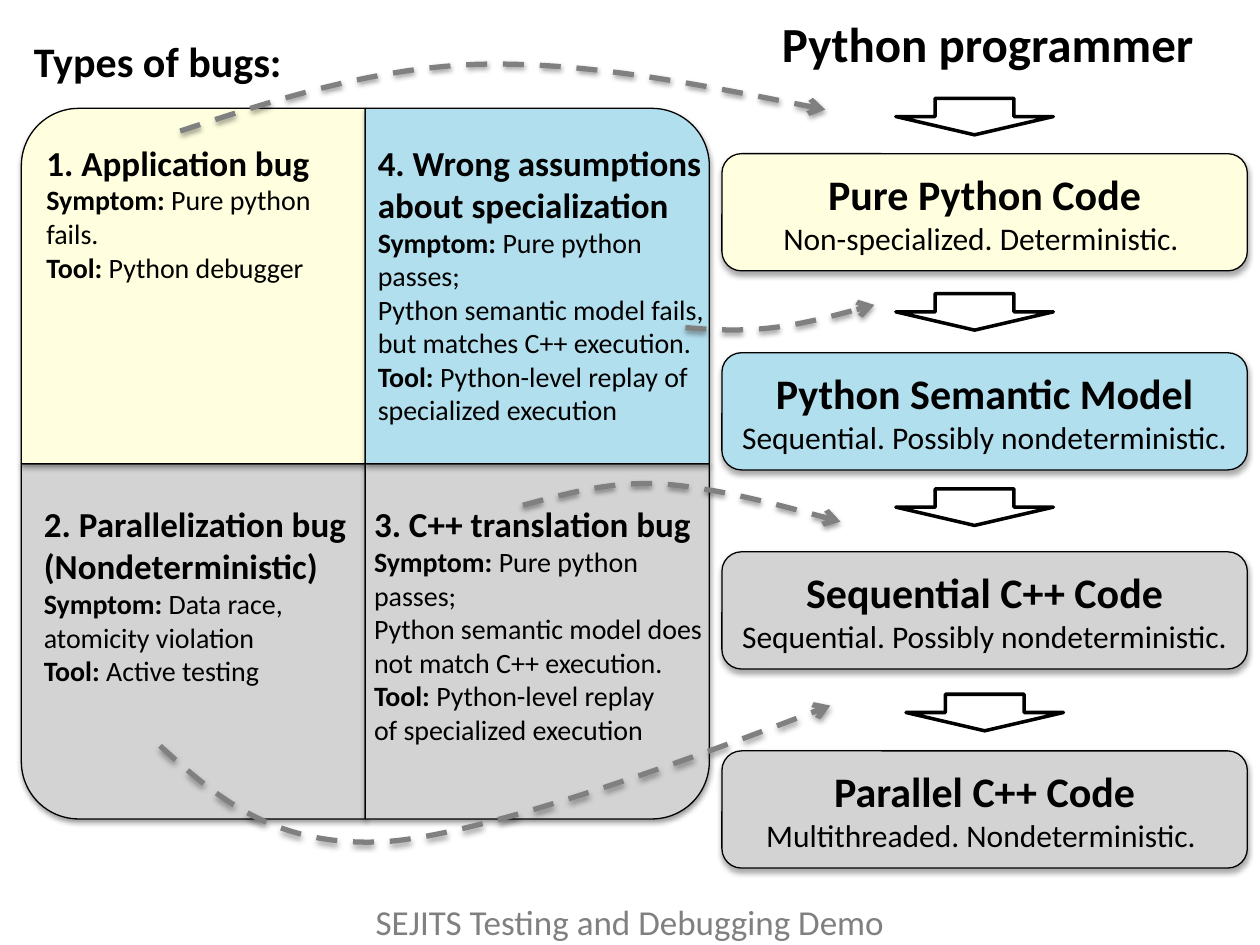
from dataclasses import dataclass
from typing import Any

from lxml.etree import SubElement
from pptx import Presentation
from pptx.dml.color import RGBColor
from pptx.enum.dml import MSO_LINE
from pptx.enum.shapes import MSO_SHAPE as Preset
from pptx.enum.text import MSO_ANCHOR as Anchor, MSO_AUTO_SIZE as AutoSize, PP_ALIGN as Align
from pptx.oxml.ns import qn
from pptx.util import Emu, Inches, Pt

COLUMNS, ROWS, CELL = 100, 75, Inches(0.1)
BLACK = RGBColor(0x00, 0x00, 0x00)
WHITE = RGBColor(0xFF, 0xFF, 0xFF)
GRAY = RGBColor(0x80, 0x80, 0x80)
YELLOW = RGBColor(0xFF, 0xFF, 0xE0)
BLUE = RGBColor(0xB2, 0xDF, 0xEE)
SILVER = RGBColor(0xD3, 0xD3, 0xD3)


@dataclass(frozen=True)
class Area:
    left: float
    top: float
    width: float
    height: float

    def lengths(self) -> list[Emu]:
        return [cells(n) for n in (self.left, self.top, self.width, self.height)]


@dataclass(frozen=True)
class Span:
    text: str
    size: int = 16
    bold: bool = False
    color: RGBColor = BLACK


@dataclass(frozen=True)
class Caption:
    area: Area
    paras: list[list[Span]]
    wrap: bool = True
    align: Align = Align.LEFT


@dataclass(frozen=True)
class Stage:
    name: str
    detail: str
    fill: RGBColor


@dataclass(frozen=True)
class Quadrant:
    column: int
    row: int
    fill: RGBColor


def cells(count: float) -> Emu:
    return Emu(round(count * CELL))


def heading(text: str) -> Span:
    return Span(text, 20, True)


def label(text: str) -> Span:
    return Span(text, bold=True)


def apply(target: Any, values: dict[str, Any]) -> None:
    for name, value in values.items():
        setattr(target, name, value)


def write(box: Any, paras: list[list[Span]], align: Align) -> None:
    frame = box.text_frame
    for number, spans in enumerate(paras):
        para = frame.add_paragraph() if number else frame.paragraphs[0]
        para.alignment = align
        for span in spans:
            for index, line in enumerate(span.text.split("\n")):
                if index:
                    para.add_line_break()
                run = para.add_run()
                run.text = line
                apply(run.font, {"name": "Calibri", "size": Pt(span.size), "bold": span.bold})
                run.font.color.rgb = span.color


def cast_shadow(shape: Any, opacity: int, distance: float) -> None:
    effects = shape._element.spPr.find(qn("a:effectLst"))
    shadow = SubElement(effects, qn("a:outerShdw"), blurRad=str(Pt(3.1)), dist=str(Pt(distance)),
                        dir="5400000", algn="t", rotWithShape="0")
    tint = SubElement(shadow, qn("a:srgbClr"), val=str(BLACK))
    SubElement(tint, qn("a:alpha"), val=str(opacity * 1000))


def draw_shape(page: Any, preset: Preset, area: Area, fill: RGBColor, weight: float) -> Any:
    shape = page.shapes.add_shape(preset, *area.lengths())
    shape.shadow.inherit = False
    shape.fill.solid()
    shape.fill.fore_color.rgb = fill
    shape.line.color.rgb = BLACK
    shape.line.width = Pt(weight)
    return shape


def draw_stage(page: Any, stage: Stage, area: Area) -> None:
    box = draw_shape(page, Preset.ROUNDED_RECTANGLE, area, stage.fill, 0.75)
    cast_shadow(box, 35, 1.8)
    apply(box.text_frame, {"word_wrap": True, "vertical_anchor": Anchor.MIDDLE})
    write(box, [[Span(stage.name, 24, True)], [Span(stage.detail, 18)]], Align.CENTER)


def draw_quadrant(page: Any, quadrant: Quadrant) -> None:
    width, height = 27.3, 28.2
    area = Area(1.7 + quadrant.column * width, 8.6 + quadrant.row * height, width, height)
    box = draw_shape(page, Preset.ROUND_1_RECTANGLE, area, quadrant.fill, 0.75)
    frame = box._element.spPr.find(qn("a:xfrm"))
    frame.set("flipH", str(1 - quadrant.column))
    frame.set("flipV", str(quadrant.row))
    cast_shadow(box, 38, 1.6)


def draw_caption(page: Any, caption: Caption) -> None:
    box = page.shapes.add_textbox(*caption.area.lengths())
    apply(box.text_frame, {"word_wrap": caption.wrap, "auto_size": AutoSize.SHAPE_TO_FIT_TEXT})
    write(box, caption.paras, caption.align)


def draw_curve(page: Any, points: list[tuple[float, float]]) -> None:
    start, *rest = [(cells(x), cells(y)) for x, y in points]
    builder = page.shapes.build_freeform(*start)
    builder.add_line_segments(rest, close=False)
    curve = builder.convert_to_shape()
    curve.shadow.inherit = False
    curve.fill.background()
    curve.line.color.rgb = GRAY
    apply(curve.line, {"width": Pt(3), "dash_style": MSO_LINE.DASH})
    properties = curve._element.spPr
    SubElement(properties.find(qn("a:ln")), qn("a:tailEnd"), type="arrow")
    track = next(properties.iter(qn("a:path")))
    segments = track.findall(qn("a:lnTo"))
    for first in range(0, len(segments), 3):
        bezier = SubElement(track, qn("a:cubicBezTo"))
        for segment in segments[first:first + 3]:
            bezier.append(segment[0])
            track.remove(segment)
    cast_shadow(curve, 38, 1.6)


ARROWS = [(71.1, 7.8), (71.1, 23.3), (71.1, 38.8), (71.9, 55.1)]
STAGES = [
    Stage("Pure Python Code", "Non-specialized. Deterministic. ", YELLOW),
    Stage("Python Semantic Model", "Sequential. Possibly nondeterministic.", BLUE),
    Stage("Sequential C++ Code", "Sequential. Possibly nondeterministic.", SILVER),
    Stage("Parallel C++ Code", "Multithreaded. Nondeterministic. ", SILVER),
]
QUADRANTS = [Quadrant(0, 1, SILVER), Quadrant(0, 0, YELLOW),
             Quadrant(1, 1, SILVER), Quadrant(1, 0, BLUE)]
CAPTIONS = [
    Caption(Area(0, 71, COLUMNS, 4.4),
            [[Span("SEJITS Testing and Debugging Demo", 20, color=GRAY)]], align=Align.CENTER),
    Caption(Area(60.2, 0.6, 36, 5.9), [[Span(" Python programmer", 28, True)]], wrap=False),
    Caption(Area(1.7, 2.3, 22, 5), [[Span("Types of bugs:", 24, True)]], wrap=False),
    Caption(Area(2.7, 10.7, 25.8, 16), [
        [heading("1. Application bug")],
        [label("Symptom:"), Span(" Pure python fails.")],
        [label("Tool:"), Span(" Python debugger")]]),
    Caption(Area(2.5, 39.4, 27.3, 17.8), [
        [heading("2. Parallelization bug")],
        [heading("(Nondeterministic) "), label("Symptom:"), Span(" Data race,")],
        [Span("atomicity violation")],
        [label("Tool:"), Span(" Active testing")]]),
    Caption(Area(28.7, 39.4, 30.8, 20.5), [
        [heading("3. C++ translation bug")],
        [label("Symptom:"), Span(" Pure python \npasses; \n"
                                 "Python semantic model does not match C++ execution.")],
        [label("Tool: "), Span("Python-level replay \nof specialized execution")]]),
    Caption(Area(29, 10.7, 28.3, 23.9), [
        [heading("4. Wrong assumptions")],
        [heading("about specialization")],
        [label("Symptom:"), Span(" Pure python passes;\n"
                                 "Python semantic model fails, but matches C++ execution.")],
        [label("Tool:"), Span(" Python-level replay of specialized execution")]]),
]
CURVES = [
    [(54.4, 26), (56.7, 26.2), (58.9, 26.3), (61.4, 26), (63.9, 25.7), (69.4, 24.2), (69.4, 24.2)],
    [(12.7, 59.2), (17.2, 63.3), (21.8, 67.3), (30.6, 66.8), (39.5, 66.2), (65.9, 56), (65.9, 56)],
    [(14.3, 10.4), (21.9, 7.9), (29.5, 5.4), (38, 5.1), (46.5, 4.9), (56, 6.8), (65.5, 8.7)],
    [(41.5, 40.1), (44.9, 39.2), (48.2, 38.2), (52.4, 38.4), (56.6, 38.7), (61.6, 40), (66.7, 41.4)],
]


def main() -> None:
    deck = Presentation()
    apply(deck, {"slide_width": cells(COLUMNS), "slide_height": cells(ROWS)})
    page = deck.slides.add_slide(deck.slide_layouts[6])
    for left, top in ARROWS:
        draw_shape(page, Preset.DOWN_ARROW, Area(left, top, 12.5, 2.9), WHITE, 2)
    for number, stage in enumerate(STAGES):
        draw_stage(page, stage, Area(57.3, 12.2 + 15.8 * number, 41.7, 9.3))
    for quadrant in QUADRANTS:
        draw_quadrant(page, quadrant)
    for caption in CAPTIONS:
        draw_caption(page, caption)
    for points in CURVES:
        draw_curve(page, points)
    deck.save("out.pptx")


if __name__ == "__main__":
    main()
